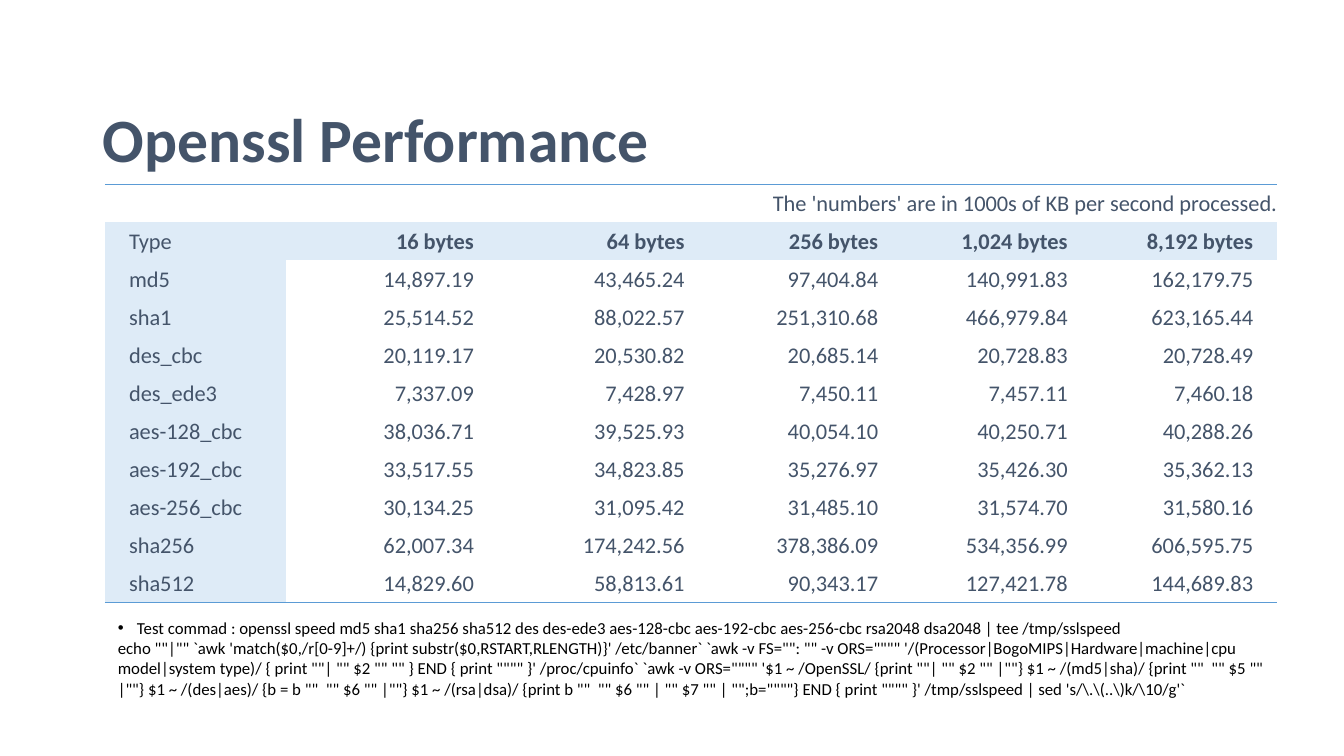
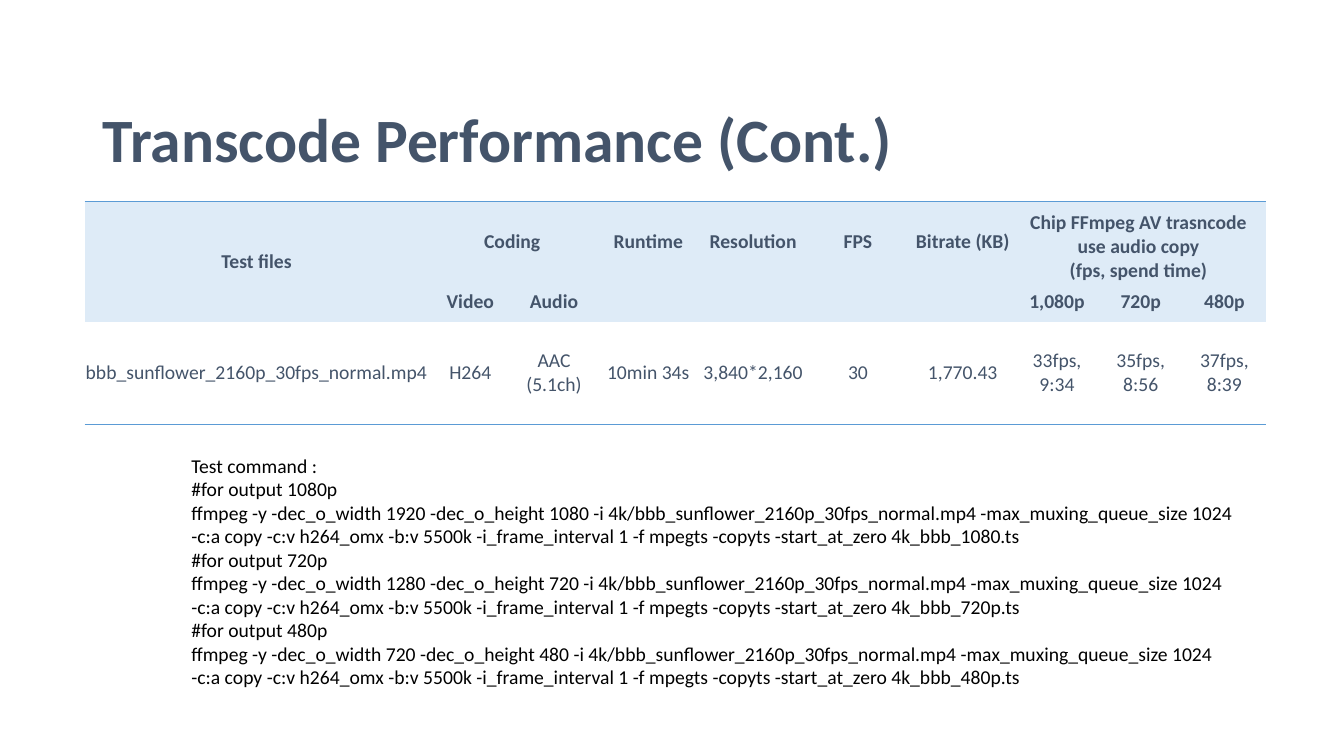
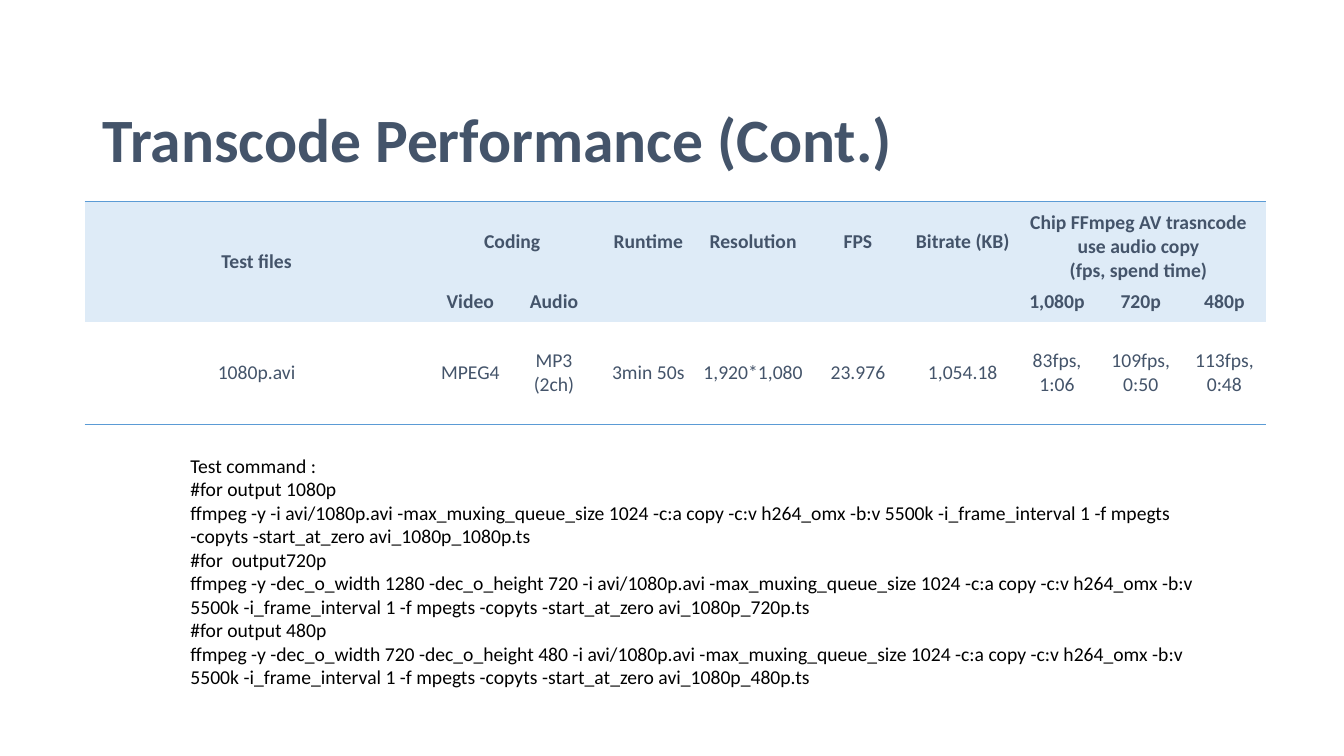
from lxml.etree import SubElement, Element
from pptx import Presentation
from pptx.dml.color import RGBColor
from pptx.enum.text import MSO_ANCHOR, MSO_AUTO_SIZE, PP_ALIGN
from pptx.oxml.ns import qn

PX = 9144
PT = 12700
FONT = 'Calibri'
SLATE, BLUE, PALE, BLACK = '44546A', '5B9BD5', 'DEEBF7', '000000'
PLAIN_TABLE = '{2D5ABB26-0587-4C30-8999-92F81FD0307C}'
TITLE_BOX = (92, 98, 1150, 86)


def px(*lengths):
    return [n * PX for n in lengths]


def rgb(value):
    return RGBColor.from_string(value)


def style(p, size, color, bold=False, align=PP_ALIGN.LEFT):
    p.alignment = align
    p.font.name = FONT
    p.font.size = size * PT
    p.font.bold = bold
    p.font.color.rgb = rgb(color)


def add_slide(prs, title):
    s = prs.slides.add_slide(prs.slide_layouts[5])
    sp = s.shapes.title
    sp.left, sp.top, sp.width, sp.height = px(*TITLE_BOX)
    tf = sp.text_frame
    tf.text = title
    tf.auto_size = MSO_AUTO_SIZE.NONE
    tf.vertical_anchor = MSO_ANCHOR.MIDDLE
    p = tf.paragraphs[0]
    style(p, 44, SLATE, True)
    p.line_spacing = 0.9
    return s


def add_grid(s, box, rows, widths):
    frame = s.shapes.add_table(rows, len(widths), *px(*box))
    table = frame.table
    table.first_row = table.horz_banding = False
    frame._element.find('.//' + qn('a:tableStyleId')).text = PLAIN_TABLE
    for col, width in zip(table.columns, px(*widths)):
        col.width = width
    return table


def fill_cell(cell, text, size, bold, align, inset=0, fill=None):
    cell.margin_left = cell.margin_right = inset * PX
    cell.margin_top = cell.margin_bottom = 0
    cell.vertical_anchor = MSO_ANCHOR.MIDDLE
    if fill:
        cell.fill.solid()
        cell.fill.fore_color.rgb = rgb(fill)
    else:
        cell.fill.background()
    cell.text_frame.text = text
    for p in cell.text_frame.paragraphs:
        style(p, size, SLATE, bold, align)


def rule(table, row, side):
    for cell in table.rows[row].cells:
        ln = Element(qn('a:' + side), w=str(PT))
        SubElement(SubElement(ln, qn('a:solidFill')), qn('a:srgbClr'), val=BLUE)
        cell._tc.get_or_add_tcPr().insert(0, ln)


def add_note(s, box, lines, size):
    tf = s.shapes.add_textbox(*px(*box)).text_frame
    tf.word_wrap = True
    tf.auto_size = MSO_AUTO_SIZE.SHAPE_TO_FIT_TEXT
    tf.text = '\n'.join(lines)
    for p in tf.paragraphs:
        style(p, size, BLACK)
    return tf


def add_bullet(p, indent):
    pPr = p._p.get_or_add_pPr()
    pPr.set('marL', str(indent * PX))
    pPr.set('indent', str(-indent * PX))
    pPr.insert(0, Element(qn('a:buFont'), typeface='Arial'))
    pPr.insert(1, Element(qn('a:buChar'), char='•'))


SPEED_UNIT = "The 'numbers' are in 1000s of KB per second processed."
SPEED_ROWS = [
    ('Type', '16 bytes', '64 bytes', '256 bytes', '1,024 bytes', '8,192 bytes'),
    ('md5', '14,897.19', '43,465.24', '97,404.84', '140,991.83', '162,179.75'),
    ('sha1', '25,514.52', '88,022.57', '251,310.68', '466,979.84', '623,165.44'),
    ('des_cbc', '20,119.17', '20,530.82', '20,685.14', '20,728.83', '20,728.49'),
    ('des_ede3', '7,337.09', '7,428.97', '7,450.11', '7,457.11', '7,460.18'),
    ('aes-128_cbc', '38,036.71', '39,525.93', '40,054.10', '40,250.71', '40,288.26'),
    ('aes-192_cbc', '33,517.55', '34,823.85', '35,276.97', '35,426.30', '35,362.13'),
    ('aes-256_cbc', '30,134.25', '31,095.42', '31,485.10', '31,574.70', '31,580.16'),
    ('sha256', '62,007.34', '174,242.56', '378,386.09', '534,356.99', '606,595.75'),
    ('sha512', '14,829.60', '58,813.61', '90,343.17', '127,421.78', '144,689.83'),
]
SPEED_COMMANDS = [
    'Test commad : openssl speed md5 sha1 sha256 sha512 des des-ede3 aes-128-cbc '
    'aes-192-cbc aes-256-cbc rsa2048 dsa2048 | tee /tmp/sslspeed',
    r'''echo ""|"" `awk 'match($0,/r[0-9]+/) {print substr($0,RSTART,RLENGTH)}' /etc/banner` '''
    r'''`awk -v FS="": "" -v ORS="""" '/(Processor|BogoMIPS|Hardware|machine|cpu model|system type)/ '''
    r'''{ print ""| "" $2 "" "" } END { print """" }' /proc/cpuinfo` '''
    r'''`awk -v ORS="""" '$1 ~ /OpenSSL/ {print ""| "" $2 "" |""} '''
    r'''$1 ~ /(md5|sha)/ {print ""  "" $5 "" |""} $1 ~ /(des|aes)/ {b = b ""  "" $6 "" |""} '''
    r'''$1 ~ /(rsa|dsa)/ {print b ""  "" $6 "" | "" $7 "" | "";b=""""} '''
    r'''END { print """" }' /tmp/sslspeed | sed 's/\.\(..\)k/\10/g'`''',
]


def speed_table(s, box):
    table = add_grid(s, box, len(SPEED_ROWS) + 1, (180, 210, 209, 192, 188, 184))
    unit = table.cell(0, 0)
    unit.merge(table.cell(0, 5))
    fill_cell(unit, SPEED_UNIT, 16, False, PP_ALIGN.RIGHT)
    for r, row in enumerate(SPEED_ROWS, 1):
        for c, text in enumerate(row):
            fill_cell(table.cell(r, c), text, 16, r == 1 and c > 0,
                      PP_ALIGN.RIGHT if c else PP_ALIGN.LEFT, 24,
                      PALE if r == 1 or c == 0 else None)
    rule(table, 0, 'lnT')
    rule(table, len(SPEED_ROWS), 'lnB')


def speed_slide(prs):
    s = add_slide(prs, 'Openssl Performance')
    speed_table(s, (104, 183, 1163, 415))
    tf = add_note(s, (107, 608, 1165, 91), SPEED_COMMANDS, 12)
    add_bullet(tf.paragraphs[0], 19)


TRANSCODE_HEAD = [
    ('Test files', 'Coding', '', 'Runtime', 'Resolution', 'FPS', 'Bitrate (KB)',
     'Chip FFmpeg AV trasncode \vuse audio copy \v(fps, spend time) ', '', ''),
    ('', 'Video', 'Audio', '', '', '', '', '1,080p', '720p', '480p'),
]
TRANSCODE_SPANS = [((0, 0), (1, 0)), ((0, 1), (0, 2)), ((0, 7), (0, 9))]


def transcode_table(s, box, values):
    table = add_grid(s, box, 3, [341] + [83] * 2 + [104] * 4 + [83] * 3)
    for row, height in zip(table.rows, px(80, 39, 102)):
        row.height = height
    for r, row in enumerate(TRANSCODE_HEAD + [values]):
        head = r < 2
        for c, text in enumerate(row):
            fill_cell(table.cell(r, c), text, 14, head, PP_ALIGN.CENTER,
                      fill=PALE if head else None)
    for first, last in TRANSCODE_SPANS:
        table.cell(*first).merge(table.cell(*last))
    table.cell(0, 7).vertical_anchor = MSO_ANCHOR.BOTTOM
    rule(table, 0, 'lnT')
    rule(table, 2, 'lnB')


def ffmpeg(source, target, size=None):
    scale = '-dec_o_width {} -dec_o_height {} '.format(*size) if size else ''
    return (f'ffmpeg -y {scale}-i {source} -max_muxing_queue_size 1024 -c:a copy '
            '-c:v h264_omx -b:v 5500k -i_frame_interval 1 -f mpegts -copyts '
            f'-start_at_zero {target}.ts')


def transcode_slide(prs, values, source, jobs, note_left):
    s = add_slide(prs, 'Transcode Performance (Cont.)')
    transcode_table(s, (84, 200, 1172, 221), values)
    lines = ['Test command :']
    for label, target, size in jobs:
        lines += [label, ffmpeg(source, target, size)]
    add_note(s, (note_left, 445, 1054, 246), lines, 14)


def main():
    prs = Presentation()
    prs.slide_width, prs.slide_height = px(1333, 750)
    speed_slide(prs)
    transcode_slide(
        prs,
        ('bbb_sunflower_2160p_30fps_normal.mp4', 'H264', 'AAC (5.1ch)', '10min 34s',
         '3,840*2,160', '30', '1,770.43', '33fps, 9:34', '35fps, 8:56', '37fps, 8:39'),
        '4k/bbb_sunflower_2160p_30fps_normal.mp4',
        [('#for output 1080p', '4k_bbb_1080', (1920, 1080)),
         ('#for output 720p', '4k_bbb_720p', (1280, 720)),
         ('#for output 480p', '4k_bbb_480p', (720, 480))],
        180)
    transcode_slide(
        prs,
        ('1080p.avi', 'MPEG4', 'MP3\n(2ch)', '3min 50s', '1,920*1,080', '23.976',
         '1,054.18', '83fps, 1:06', '109fps, 0:50', '113fps, 0:48'),
        'avi/1080p.avi',
        [('#for output 1080p', 'avi_1080p_1080p', None),
         ('#for  output720p', 'avi_1080p_720p', (1280, 720)),
         ('#for output 480p', 'avi_1080p_480p', (720, 480))],
        179)
    prs.save("out.pptx")


if __name__ == "__main__":
    main()
